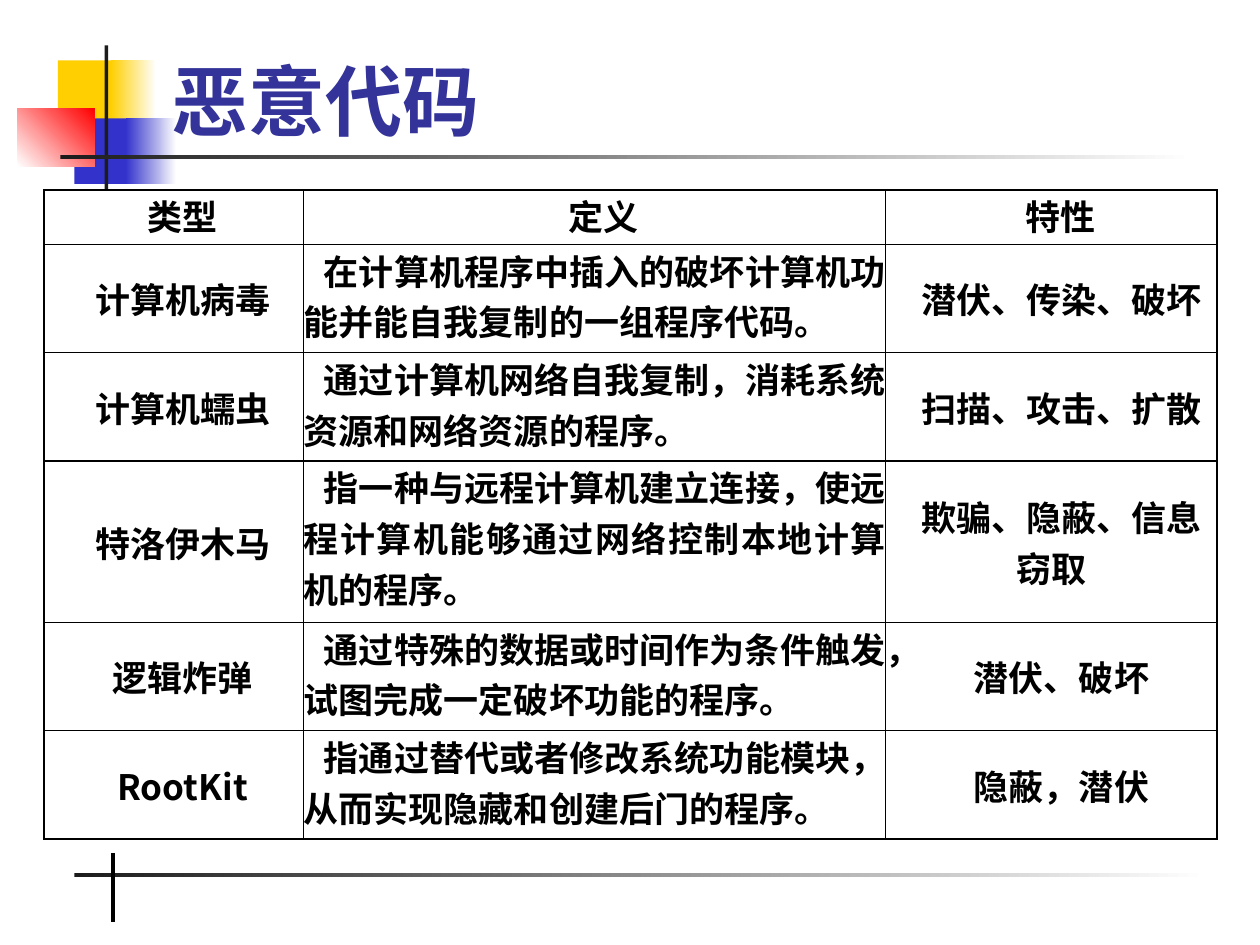
from lxml import etree
from pptx import Presentation
from pptx.dml.color import RGBColor
from pptx.enum.shapes import MSO_CONNECTOR, MSO_SHAPE
from pptx.enum.text import MSO_ANCHOR, PP_ALIGN
from pptx.oxml.ns import qn
from pptx.util import Inches, Pt

RECT = MSO_SHAPE.RECTANGLE
LINE = MSO_CONNECTOR.STRAIGHT
TOP, MIDDLE, BOTTOM = MSO_ANCHOR.TOP, MSO_ANCHOR.MIDDLE, MSO_ANCHOR.BOTTOM
CENTER, JUSTIFY = PP_ALIGN.CENTER, PP_ALIGN.JUSTIFY

HAN = "Noto Sans CJK SC"
COLORS = {
    "white": "FFFFFF", "black": "000000", "ink": "1C1C1C", "gold": "FFCF01",
    "blue": "3333CC", "red": "FF0000", "title": "333399",
}

COLS = [2.06, 4.62, 2.63]
ROWS = [0.43, 0.86, 0.86, 1.28, 0.86, 0.86]
DATA = [
    ("类型", "定义", "特性"),
    ("计算机病毒", "在计算机程序中插入的破坏计算机功能并能自我复制的一组程序代码。",
     "潜伏、传染、破坏"),
    ("计算机蠕虫", "通过计算机网络自我复制，消耗系统资源和网络资源的程序。",
     "扫描、攻击、扩散"),
    ("特洛伊木马", "指一种与远程计算机建立连接，使远程计算机能够通过网络控制本地计算机的程序。",
     "欺骗、隐蔽、信息窃取"),
    ("逻辑炸弹", "通过特殊的数据或时间作为条件触发，试图完成一定破坏功能的程序。",
     "潜伏、破坏"),
    ("RootKit", "指通过替代或者修改系统功能模块，从而实现隐藏和创建后门的程序。",
     "隐蔽，潜伏"),
]


def rgb(name):
    return RGBColor.from_string(COLORS[name])


def style(para, size, face, color):
    for run in para.runs:
        font = run.font
        font.size, font.bold, font.name = Pt(size), True, face
        font.color.rgb = rgb(color)
        etree.SubElement(run._r.rPr, qn("a:ea"), typeface=HAN)


def block(slide, x, y, w, h, start, end=None, angle=0):
    """Plain rectangle, or a fade from start to end."""
    shape = slide.shapes.add_shape(RECT, Inches(x), Inches(y), Inches(w), Inches(h))
    shape.shadow.inherit = False
    shape.line.fill.background()
    fill = shape.fill
    if end is None:
        fill.solid()
        fill.fore_color.rgb = rgb(start)
        return
    fill.gradient()
    fill.gradient_angle = angle
    for stop, name, pos in zip(fill.gradient_stops, (start, end), (0, 1)):
        stop.color.rgb = rgb(name)
        stop.position = pos


def add_badge(slide, x, y):
    # Coloured squares
    block(slide, x + 0.32, y + 0.12, 0.48, 0.52, "gold")
    block(slide, x + 0.74, y + 0.12, 0.36, 0.52, "gold", "white")
    block(slide, x + 0.45, y + 0.58, 0.46, 0.52, "blue")
    block(slide, x + 0.86, y + 0.58, 0.4, 0.52, "blue", "white")
    block(slide, x, y + 0.5, 0.61, 0.46, "white", "red", 45)
    # Crossing bars
    block(slide, x + 0.69, y, 0.03, 1.15, "ink")
    block(slide, x + 0.34, y + 0.87, 9, 0.03, "ink", "white")


def add_footer(slide, x, y):
    block(slide, x, y + 0.16, 9, 0.03, "ink", "white")
    mid = Inches(x + 0.31)
    line = slide.shapes.add_connector(LINE, mid, Inches(y), mid, Inches(y + 0.55))
    line.line.width = Pt(2.25)
    line.line.color.rgb = rgb("black")
    etree.SubElement(line._element.spPr, qn("a:effectLst"))


def add_title(slide, x, y, w, h):
    box = slide.shapes.add_textbox(Inches(x), Inches(y), Inches(w), Inches(h))
    frame = box.text_frame
    frame.word_wrap = True
    frame.vertical_anchor = BOTTOM
    frame.text = "恶意代码"
    style(frame.paragraphs[0], 44, "Times New Roman", "title")


def set_cell(cell, text, align, anchor, indent):
    cell.margin_left = cell.margin_right = cell.margin_top = cell.margin_bottom = 0
    cell.vertical_anchor = anchor
    # Borders come before the fill in the cell properties
    props = cell._tc.get_or_add_tcPr()
    for side in ("lnL", "lnR", "lnT", "lnB"):
        edge = etree.SubElement(props, qn("a:" + side), w=str(Pt(1)))
        paint = etree.SubElement(edge, qn("a:solidFill"))
        etree.SubElement(paint, qn("a:srgbClr"), val=COLORS["black"])
    cell.fill.background()
    cell.text = text
    para = cell.text_frame.paragraphs[0]
    para.alignment = align
    para._p.get_or_add_pPr().set("indent", str(Inches(indent)))
    style(para, 20, HAN, "black")


def add_grid(slide, x, y):
    frame = slide.shapes.add_table(
        len(ROWS), len(COLS), Inches(x), Inches(y), Inches(sum(COLS)), Inches(sum(ROWS)))
    table = frame.table
    table.first_row = table.horz_banding = False
    for col, width in zip(table.columns, COLS):
        col.width = Inches(width)
    for row, height in zip(table.rows, ROWS):
        row.height = Inches(height)
    for r, texts in enumerate(DATA):
        for c, text in enumerate(texts):
            prose = r > 0 and c == 1
            set_cell(table.cell(r, c), text,
                     JUSTIFY if prose else CENTER,
                     TOP if r == 0 or prose else MIDDLE,
                     0.16 if r > 0 and c > 0 else 0.14)


def main():
    deck = Presentation()
    deck.slide_width, deck.slide_height = Inches(10), Inches(7.5)
    slide = deck.slides.add_slide(deck.slide_layouts[6])
    add_badge(slide, 0.14, 0.36)
    add_footer(slide, 0.59, 6.77)
    add_grid(slide, 0.35, 1.51)
    add_title(slide, 1.26, 0.16, 8.52, 1.05)
    deck.save("out.pptx")


if __name__ == "__main__":
    main()
